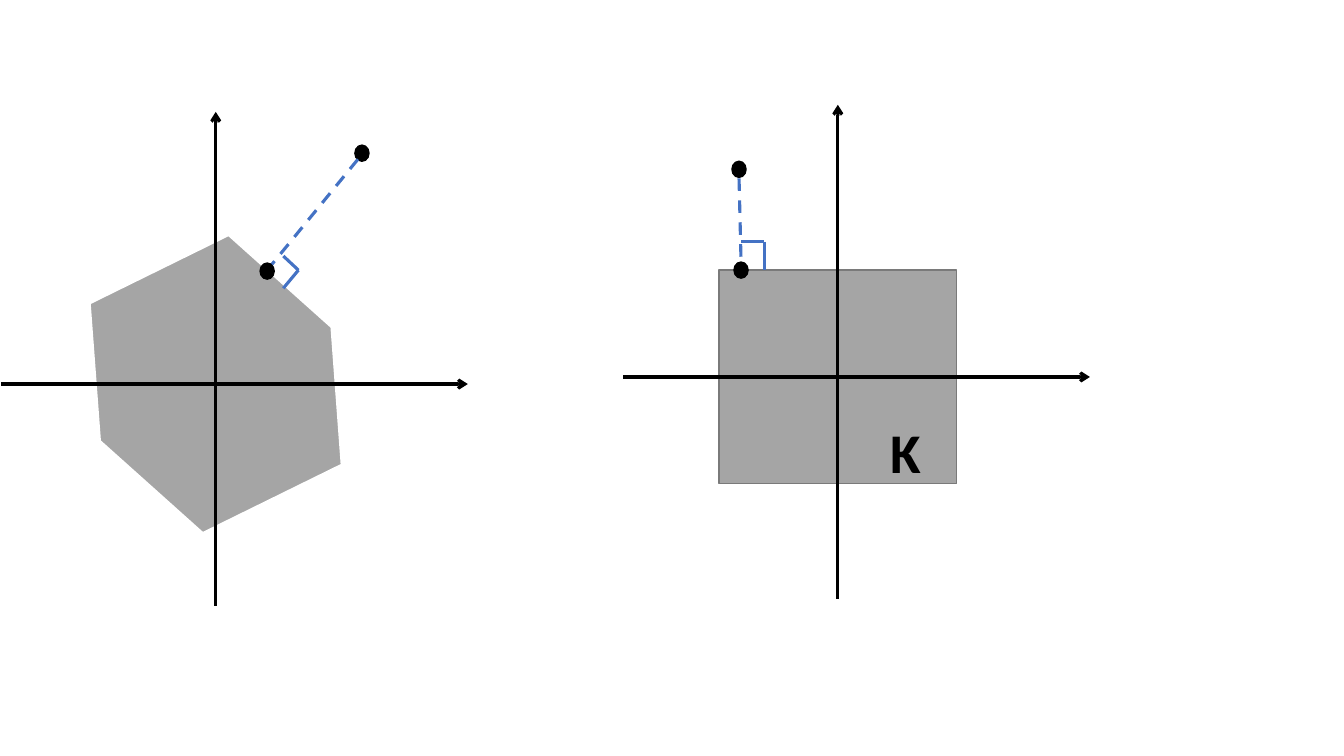
from dataclasses import dataclass
from itertools import pairwise

from lxml.etree import SubElement
from pptx import Presentation
from pptx.dml.color import RGBColor
from pptx.enum.dml import MSO_LINE
from pptx.enum.shapes import MSO_CONNECTOR, MSO_SHAPE
from pptx.enum.text import MSO_AUTO_SIZE
from pptx.oxml.ns import qn
from pptx.util import Pt

SCALE = 9144  # EMU per px, 100 px to the inch


@dataclass(frozen=True)
class Theme:
    ink: str = "000000"
    blue: str = "4472C4"
    gray: str = "A5A5A5"
    edge: str = "7A7A7A"
    white: str = "FFFFFF"
    font: str = "Calibri"
    label: int = 40
    thin: float = 1
    medium: float = 1.5
    thick: float = 2.25


class Sketch:
    def __init__(self, slide, theme):
        self.slide = slide
        self.theme = theme

    def px(self, *sizes):
        return [size * SCALE for size in sizes]

    def shape(self, kind, box, fill, edge, width, turn=0):
        shape = self.slide.shapes.add_shape(kind, *self.px(*box))
        shape.shadow.inherit = False
        shape.rotation = turn
        shape.fill.solid()
        shape.fill.fore_color.rgb = RGBColor.from_string(fill)
        shape.line.color.rgb = RGBColor.from_string(edge)
        shape.line.width = Pt(width)

    def line(self, start, end, color, dash=False, arrow=False):
        link = self.slide.shapes.add_connector(
            MSO_CONNECTOR.STRAIGHT, *self.px(*start, *end))
        link.line.color.rgb = RGBColor.from_string(color)
        link.line.width = Pt(self.theme.thick)
        if dash:
            link.line.dash_style = MSO_LINE.DASH
        if arrow:
            SubElement(link.line._get_or_add_ln(), qn("a:tailEnd"), type="arrow")
        SubElement(link._element.spPr, qn("a:effectLst"))

    def dot(self, x, y):
        """Draw a point centred on x, y."""
        ink = self.theme.ink
        self.shape(MSO_SHAPE.OVAL, (x - 7, y - 8, 14, 16), ink, ink, self.theme.thin)

    def axes(self, x, y):
        """Draw a pair of axes that cross at x, y."""
        ink = self.theme.ink
        self.line((x - 213, y), (x + 250, y), ink, arrow=True)
        self.line((x, y + 220), (x, y - 270), ink, arrow=True)

    def project(self, point, foot, dash, corner):
        """Join a point to its foot, with a right-angle mark."""
        blue = self.theme.blue
        self.dot(*point)
        self.line(*dash, blue, dash=True)
        for start, end in pairwise(corner):
            self.line(start, end, blue)
        self.dot(*foot)

    def label(self, text, box):
        frame = self.slide.shapes.add_textbox(*self.px(*box)).text_frame
        frame.word_wrap = False
        frame.auto_size = MSO_AUTO_SIZE.SHAPE_TO_FIT_TEXT
        para = frame.paragraphs[0]
        para.text = text
        para.font.name = self.theme.font
        para.font.size = Pt(self.theme.label)
        para.font.bold = True
        para.font.color.rgb = RGBColor.from_string(self.theme.ink)


def main():
    deck = Presentation()
    deck.slide_width, deck.slide_height = 1333 * SCALE, 750 * SCALE
    theme = Theme()
    sketch = Sketch(deck.slides.add_slide(deck.slide_layouts[6]), theme)

    sketch.shape(MSO_SHAPE.RECTANGLE, (713, 268, 236, 212),
                 theme.gray, theme.edge, theme.thin)
    sketch.shape(MSO_SHAPE.FLOWCHART_PREPARATION, (86, 254, 256, 254),
                 theme.gray, theme.white, theme.medium, turn=333.8)

    sketch.axes(214, 381)
    sketch.project(point=(359, 152), foot=(265, 269),
                   dash=((355, 158), (265, 268)),
                   corner=((281, 254), (296, 268), (281, 286)))

    sketch.axes(831, 374)
    sketch.label("K", (873, 409, 65, 77))
    sketch.project(point=(733, 168), foot=(735, 268),
                   dash=((733, 177), (735, 260)),
                   corner=((735, 240), (758, 240), (758, 268)))

    deck.save("out.pptx")


if __name__ == "__main__":
    main()
